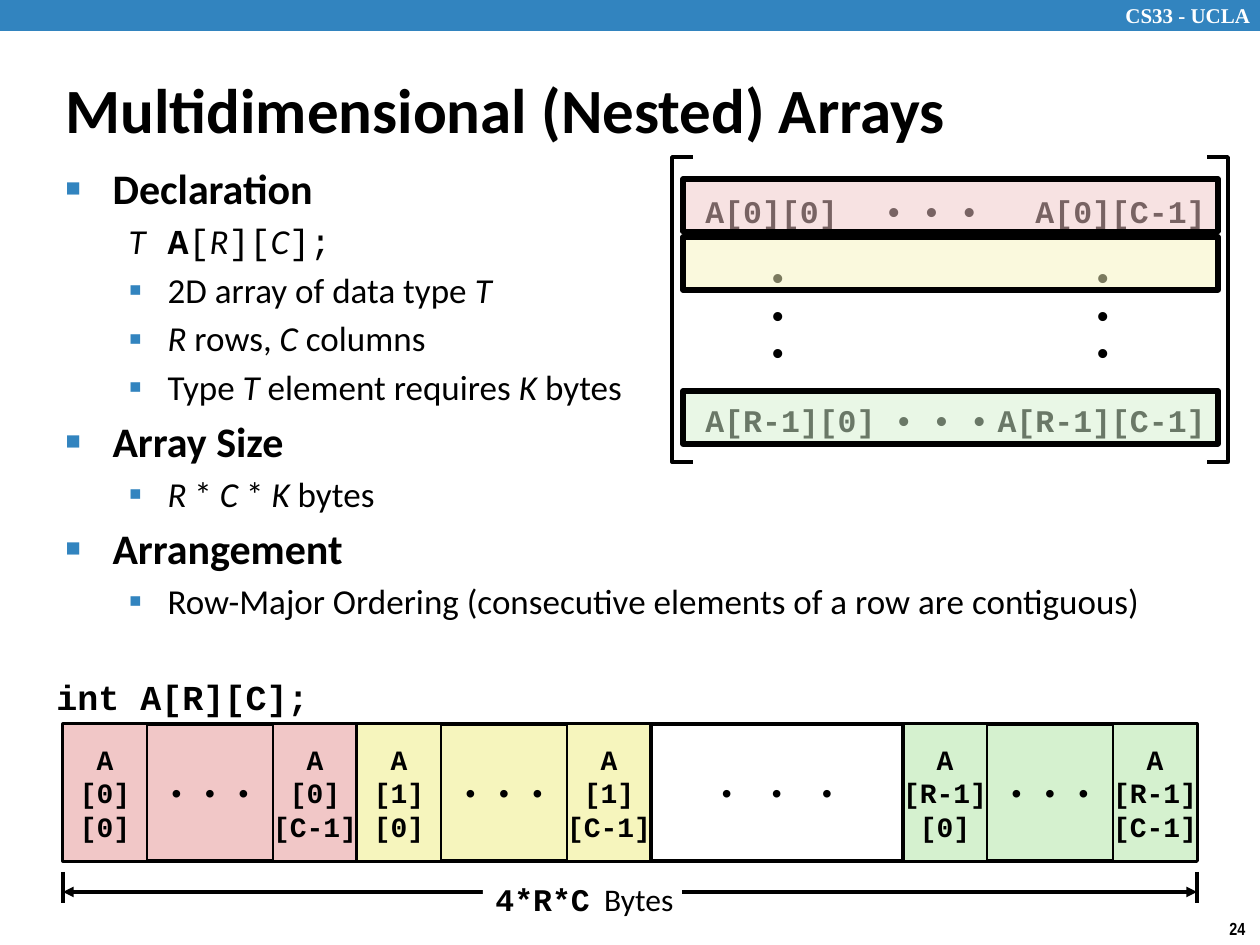
import pptx
import pptx.util
import pptx.dml.color
import pptx.enum.shapes
import pptx.enum.text
import pptx.oxml
import pptx.oxml.ns

COLORS = {"black": "000000", "white": "FFFFFF", "blue": "3284BF",
          "red": "F1C7C7", "yellow": "F6F5BD", "green": "D5F1CF"}
SANS, MONO = "Calibri", "Courier New"
ITALIC = {"italic": True}
CODE = {"font": MONO}
DOTS = "• • •"

OUTLINE = [
    ("head", ["Declaration"]),
    ("plain", [("T\t", ITALIC), ("A", {"font": MONO, "bold": True}), ("[", CODE), ("R", ITALIC),
               ("][", CODE), ("C", ITALIC), ("];", CODE)]),
    ("item", ["2D array of data type ", ("T", ITALIC)]),
    ("item", [("R", ITALIC), " rows, ", ("C", ITALIC), " columns"]),
    ("item", ["Type ", ("T", ITALIC), " element requires ", ("K", ITALIC), " bytes"]),
    ("head", ["Array Size"]),
    ("item", [("R", ITALIC), " * ", ("C ", ITALIC), "* ", ("K ", ITALIC), "bytes"]),
    ("head", ["Arrangement"]),
    ("item", ["Row-Major Ordering (consecutive elements of a row are contiguous)"]),
]
LEVELS = {
    "head": dict(level=0, margin=47, hang=47, bullet="■", percent=60, size=24, bold=True, before=4.6),
    "item": dict(level=1, margin=102, hang=39, bullet="▪", percent=110, size=20, bold=False, before=3.8),
    "plain": dict(level=1, margin=102, hang=39, bullet=None, percent=100, size=20, bold=False, before=3.8),
}
MATRIX = [
    (693, 179, 168, 63, "A[0][0]", "left"),
    (1050, 179, 168, 63, "A[0][C-1]", "right"),
    (693, 388, 168, 63, "A[R-1][0]", "left"),
    (872, 179, 126, 63, DOTS, "left"),
    (882, 388, 126, 63, DOTS, "left"),
    (1050, 388, 168, 63, "A[R-1][C-1]", "right"),
    (756, 262, 63, 105, "•\n•\n•", "left"),
    (1081, 262, 63, 105, "•\n•\n•", "left"),
]
MATRIX_ROWS = [(179, "red"), (237, "yellow"), (391, "green")]
BRACKETS = [(693, 672), (1207, 1228)]
MEMORY_ROWS = [(63, "0", "red"), (357, "1", "yellow"), (903, "R-1", "green")]
MEMORY_TOP, MEMORY_HEIGHT, ROW_WIDTH, CELL_WIDTH = 724, 137, 294, 84
SPAN_LEFT, SPAN_RIGHT = 63, 1197

SHAPE = pptx.enum.shapes.MSO_SHAPE
ALIGN = {"left": pptx.enum.text.PP_ALIGN.LEFT, "center": pptx.enum.text.PP_ALIGN.CENTER,
         "right": pptx.enum.text.PP_ALIGN.RIGHT}
ANCHOR = {"top": pptx.enum.text.MSO_ANCHOR.TOP, "middle": pptx.enum.text.MSO_ANCHOR.MIDDLE}


def px(value):
    return pptx.util.Emu(round(value * 914400 / 126))


def color(name):
    return pptx.dml.color.RGBColor.from_string(COLORS[name])


def add_element(parent, tag, **attributes):
    element = pptx.oxml.parse_xml(f"<a:{tag} {pptx.oxml.ns.nsdecls('a')}/>")
    for key, value in attributes.items():
        element.set(key, str(value))
    parent.append(element)
    return element


def add_span(para, text, font=SANS, size=18, bold=False, italic=False, fill="black", spacing=0):
    span = para.add_run()
    span.text = text
    span.font.name, span.font.size = font, pptx.util.Pt(size)
    span.font.bold, span.font.italic = bold, italic
    span.font.color.rgb = color(fill)
    if spacing:
        span._r.get_or_add_rPr().set("spc", str(round(spacing * 100)))


def write(box, text, align="left", anchor="middle", wrap=False, **style):
    frame = box.text_frame
    frame.word_wrap = wrap
    frame.auto_size = pptx.enum.text.MSO_AUTO_SIZE.NONE
    frame.vertical_anchor = ANCHOR[anchor]
    for index, line in enumerate(text.split("\n")):
        para = frame.add_paragraph() if index else frame.paragraphs[0]
        para.alignment = ALIGN[align]
        add_span(para, line, **style)


def place(box, left, top, width, height):
    box.left, box.top, box.width, box.height = map(px, (left, top, width, height))


def add_box(page, left, top, width, height, fill="white", line=0, opacity=100):
    box = page.shapes.add_shape(SHAPE.RECTANGLE, *map(px, (left, top, width, height)))
    box.shadow.inherit = False
    box.fill.solid()
    box.fill.fore_color.rgb = color(fill)
    if opacity < 100:
        tint = box._element.spPr.find(".//" + pptx.oxml.ns.qn("a:srgbClr"))
        add_element(tint, "alpha", val=opacity * 1000)
    if line:
        box.line.color.rgb = color("black")
        box.line.width = pptx.util.Pt(line)
    else:
        box.line.fill.background()
    return box


def add_line(page, left, top, right, bottom, arrows=False):
    line = page.shapes.add_connector(pptx.enum.shapes.MSO_CONNECTOR.STRAIGHT,
                                     *map(px, (left, top, right, bottom)))
    line.line.color.rgb = color("black")
    line.line.width = pptx.util.Pt(2)
    if arrows:
        for end in ("headEnd", "tailEnd"):
            add_element(line.line._get_or_add_ln(), end, type="triangle")
    add_element(line._element.spPr, "effectLst")


def add_bracket(page, tip, spine, top=157, bottom=462):
    outline = page.shapes.build_freeform(px(tip), px(top), scale=1.0)
    outline.add_line_segments([(px(x), px(y)) for x, y in
                               ((spine, top), (spine, bottom), (tip, bottom))], close=False)
    bracket = outline.convert_to_shape()
    bracket.shadow.inherit = False
    bracket.fill.background()
    bracket.line.color.rgb = color("black")
    bracket.line.width = pptx.util.Pt(2)


def add_outline(body):
    frame = body.text_frame
    frame.word_wrap = True
    frame.auto_size = pptx.enum.text.MSO_AUTO_SIZE.NONE
    for index, (kind, spans) in enumerate(OUTLINE):
        look = LEVELS[kind]
        para = frame.add_paragraph() if index else frame.paragraphs[0]
        para.level = look["level"]
        props = para._p.get_or_add_pPr()
        props.set("marL", str(px(look["margin"])))
        props.set("indent", str(px(-look["hang"])))
        if look["bullet"]:
            add_element(add_element(props, "buClr"), "srgbClr", val=COLORS["blue"])
            add_element(props, "buSzPct", val=look["percent"] * 1000)
            add_element(props, "buChar", char=look["bullet"])
        else:
            add_element(props, "buNone")
        para.space_before = pptx.util.Pt(look["before"] if index else 0)
        for item in spans:
            text, style = (item, {}) if isinstance(item, str) else item
            add_span(para, text, **{"size": look["size"], "bold": look["bold"], **style})


def main():
    deck = pptx.Presentation()
    deck.slide_width, deck.slide_height = px(1260), px(945)
    page = deck.slides.add_slide(deck.slide_layouts[1])

    add_box(page, 0, 0, 1260, 31, fill="blue")
    labels = [
        ((1113, 0, 147, 31), "CS33 - UCLA", dict(font="Times New Roman", size=12, fill="white")),
        ((1217, 911, 43, 34), "24", dict(font="Arial Narrow", size=10)),
        ((44, 669, 277, 54), "int A[R][C];", dict(font=MONO, size=20)),
    ]
    for area, text, style in labels:
        write(page.shapes.add_textbox(*map(px, area)), text, bold=True, **style)

    title, body = page.placeholders
    place(title, 53, 68, 1113, 80)
    write(title, "Multidimensional (Nested) Arrays", wrap=True, size=36, bold=True)
    place(body, 53, 156, 1144, 464)
    add_outline(body)

    for left, top, width, height, text, align in MATRIX:
        write(add_box(page, left, top, width, height), text, align=align, font=MONO, bold=True)
    for tip, spine in BRACKETS:
        add_bracket(page, tip, spine)
    for top, fill in MATRIX_ROWS:
        add_box(page, 683, top, 535, 53, fill=fill, line=3, opacity=50)

    for left, row, fill in MEMORY_ROWS:
        box = add_box(page, left, MEMORY_TOP, ROW_WIDTH, MEMORY_HEIGHT, fill, line=2.25)
        write(box, DOTS, align="center", font=MONO, size=16)
        for offset, column in ((0, "0"), (ROW_WIDTH - CELL_WIDTH, "C-1")):
            box = add_box(page, left + offset, MEMORY_TOP, CELL_WIDTH, MEMORY_HEIGHT, fill, line=1)
            write(box, f"A\n[{row}]\n[{column}]", align="center", font=MONO, size=16, bold=True)
    gap = add_box(page, 651, MEMORY_TOP, 252, MEMORY_HEIGHT, line=2)
    write(gap, DOTS, align="center", font=MONO, size=16, spacing=4.8)

    for edge in (SPAN_LEFT, SPAN_RIGHT):
        add_line(page, edge, 872, edge, 903)
    add_line(page, SPAN_LEFT, 892, SPAN_RIGHT, 892, arrows=True)
    total = add_box(page, 483, 872, 199, 53)
    write(total, "4*R*C", font=MONO, bold=True)
    add_span(total.text_frame.paragraphs[0], " ", spacing=4)
    add_span(total.text_frame.paragraphs[0], "Bytes")

    deck.save("out.pptx")


if __name__ == "__main__":
    main()
